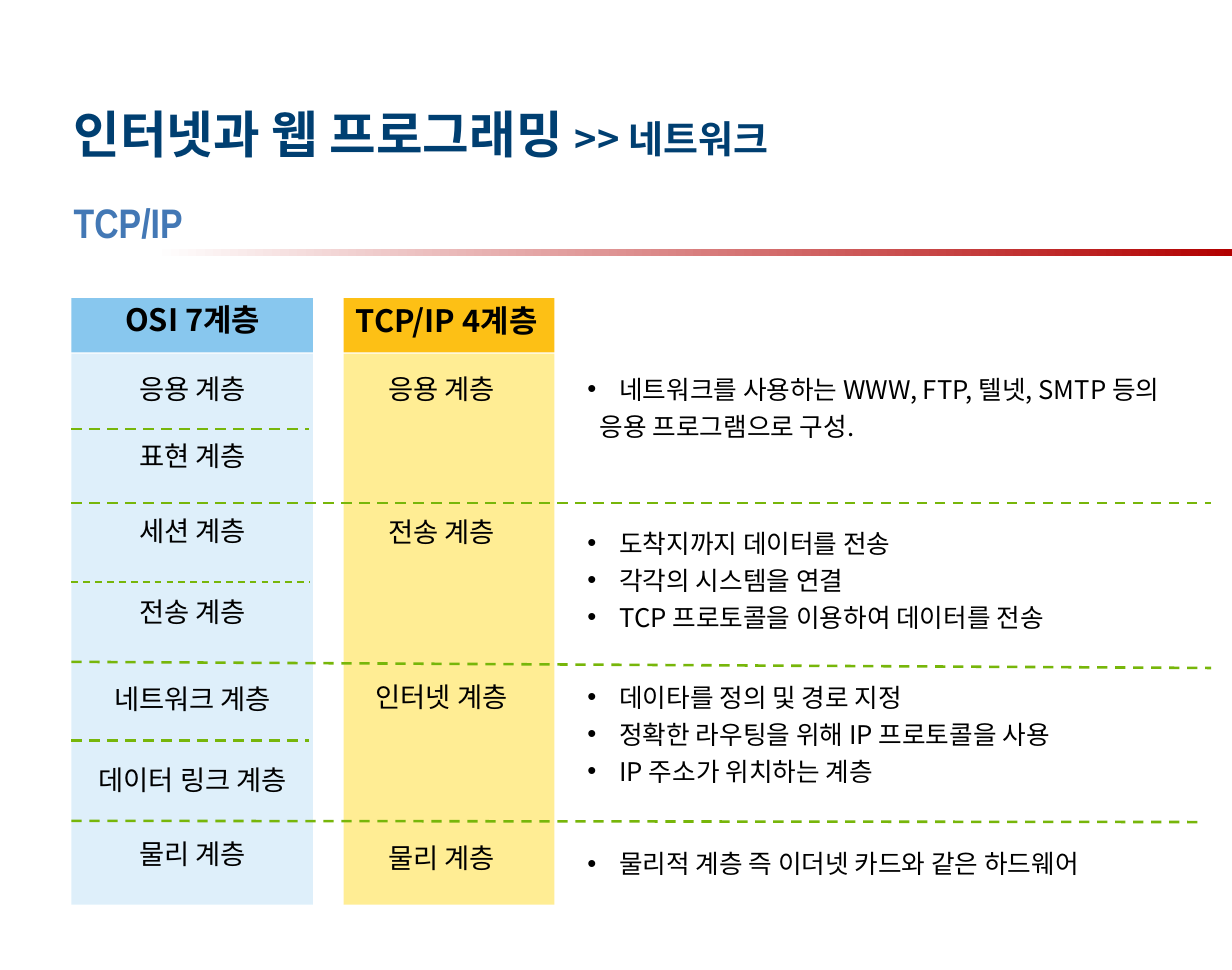
from typing import NamedTuple

from lxml.etree import SubElement
from pptx import Presentation
from pptx.dml.color import RGBColor
from pptx.enum.dml import MSO_LINE
from pptx.enum.shapes import MSO_CONNECTOR, MSO_SHAPE
from pptx.enum.text import MSO_ANCHOR, PP_ALIGN
from pptx.oxml.ns import qn
from pptx.util import Inches, Pt

FONT = "Noto Sans CJK KR"
BLACK = RGBColor(0x00, 0x00, 0x00)
WHITE = RGBColor(0xFF, 0xFF, 0xFF)
NAVY = RGBColor(0x00, 0x3F, 0x71)
BLUE = RGBColor(0x43, 0x78, 0xB5)
RED = RGBColor(0xB2, 0x00, 0x00)
GREEN = RGBColor(0x77, 0xB6, 0x0A)
OSI_HEAD = RGBColor(0x88, 0xC7, 0xEE)
OSI_BODY = RGBColor(0xBE, 0xE1, 0xF6)
TCP_HEAD = RGBColor(0xFD, 0xC0, 0x15)
TCP_BODY = RGBColor(0xFF, 0xDC, 0x2B)


class Layer(NamedTuple):
    name: str
    top: float


class Column(NamedTuple):
    title: str
    left: float
    width: float
    title_box: tuple[float, float, float]
    head: RGBColor
    body: RGBColor
    layers: list[Layer]


class Divider(NamedTuple):
    y1: float
    x2: float
    y2: float
    width: float = 1.5


class Note(NamedTuple):
    top: float
    height: float
    lines: list[str]
    continuation: str = ""


COLUMNS = [
    Column("OSI 7계층", 0.58, 1.96, (0.48, 2.39, 2.17), OSI_HEAD, OSI_BODY, [
        Layer("응용 계층", 2.97), Layer("표현 계층", 3.51), Layer("세션 계층", 4.12),
        Layer("전송 계층", 4.78), Layer("네트워크 계층", 5.48),
        Layer("데이터 링크 계층", 6.14), Layer("물리 계층", 6.74)]),
    Column("TCP/IP 4계층", 2.79, 1.71, (2.5, 2.4, 2.25), TCP_HEAD, TCP_BODY, [
        Layer("응용 계층", 2.97), Layer("전송 계층", 4.13),
        Layer("인터넷 계층", 5.47), Layer("물리 계층", 6.77)]),
]

DIVIDERS = [
    Divider(3.48, 2.51, 3.48), Divider(4.08, 9.83, 4.08), Divider(4.72, 2.51, 4.72, 1),
    Divider(5.37, 9.83, 5.42), Divider(6.01, 2.51, 6.01), Divider(6.66, 9.75, 6.67),
]

NOTES = [
    Note(2.93, 0.7, ["네트워크를 사용하는 WWW, FTP, 텔넷, SMTP 등의"], "응용 프로그램으로 구성."),
    Note(4.18, 1, ["도착지까지 데이터를 전송", "각각의 시스템을 연결",
                   "TCP 프로토콜을 이용하여 데이터를 전송"]),
    Note(5.43, 1, ["데이타를 정의 및 경로 지정", "정확한 라우팅을 위해 IP 프로토콜을 사용",
                   "IP 주소가 위치하는 계층"]),
    Note(6.78, 0.4, ["물리적 계층 즉 이더넷 카드와 같은 하드웨어"]),
]


def add_box(s, left: float, top: float, width: float, height: float):
    tf = s.shapes.add_textbox(Inches(left), Inches(top), Inches(width), Inches(height)).text_frame
    tf.word_wrap = True
    tf.vertical_anchor = MSO_ANCHOR.MIDDLE
    return tf


def add_text(p, text: str, *, size: float, color: RGBColor = BLACK, bold: bool = False,
             font: str = FONT, align: PP_ALIGN = PP_ALIGN.LEFT) -> None:
    p.alignment = align
    r = p.add_run()
    r.text = text
    r.font.size = Pt(size)
    r.font.bold = bold
    r.font.name = font
    r.font.color.rgb = color
    SubElement(r.font._element, qn("a:ea")).set("typeface", font)


def add_rect(s, left: float, top: float, width: float, height: float,
             color: RGBColor, alpha: int = 100):
    sp = s.shapes.add_shape(MSO_SHAPE.RECTANGLE, Inches(left), Inches(top),
                            Inches(width), Inches(height))
    sp.shadow.inherit = False
    sp.line.fill.background()
    sp.fill.solid()
    sp.fill.fore_color.rgb = color
    if alpha < 100:
        clr = sp._element.spPr.find(qn("a:solidFill"))[0]
        SubElement(clr, qn("a:alpha")).set("val", str(alpha * 1000))
    return sp


def add_divider(s, d: Divider) -> None:
    line = s.shapes.add_connector(MSO_CONNECTOR.STRAIGHT, Inches(0.58), Inches(d.y1),
                                  Inches(d.x2), Inches(d.y2))
    line.line.color.rgb = GREEN
    line.line.width = Pt(d.width)
    line.line.dash_style = MSO_LINE.DASH
    SubElement(line._element.spPr, qn("a:effectLst"))


def add_column(s, c: Column) -> None:
    left, top, width = c.title_box
    tf = add_box(s, left, top, width, 0.4)
    add_text(tf.paragraphs[0], c.title, size=18, bold=True, align=PP_ALIGN.CENTER)
    for layer in c.layers:
        tf = add_box(s, left, layer.top, 2.17, 0.37)
        add_text(tf.paragraphs[0], layer.name, size=16, align=PP_ALIGN.CENTER)


def add_note(s, note: Note) -> None:
    tf = add_box(s, 4.67, note.top, 5.17, note.height)
    for i, text in enumerate(note.lines):
        p = tf.paragraphs[0] if i == 0 else tf.add_paragraph()
        pPr = p._p.get_or_add_pPr()
        pPr.set("marL", str(Inches(0.26)))
        pPr.set("indent", str(-Inches(0.26)))
        SubElement(pPr, qn("a:buFont")).set("typeface", "Arial")
        SubElement(pPr, qn("a:buChar")).set("char", "•")
        p.line_spacing = Pt(21.7)
        add_text(p, text, size=15)
    if note.continuation:
        p = tf.add_paragraph()
        p._p.get_or_add_pPr().set("marL", str(Inches(0.1)))
        p.line_spacing = Pt(21.7)
        add_text(p, note.continuation, size=15)


def main() -> None:
    prs = Presentation()
    prs.slide_width, prs.slide_height = Inches(10), Inches(7.87)
    s = prs.slides.add_slide(prs.slide_layouts[6])

    for c in COLUMNS:
        add_rect(s, c.left, 2.42, c.width, 0.44, c.head)
        add_rect(s, c.left, 2.87, c.width, 4.47, c.body, alpha=50)
    for d in DIVIDERS:
        add_divider(s, d)
    for c in COLUMNS:
        add_column(s, c)
    for note in NOTES:
        add_note(s, note)

    rule = add_rect(s, 1.25, 2.02, 8.75, 0.06, RED)
    rule.fill.gradient()
    rule.fill.gradient_angle = 0
    for stop, color in zip(rule.fill.gradient_stops, (WHITE, RED)):
        stop.color.rgb = color

    p = add_box(s, 0.5, 0.73, 8.58, 0.7).paragraphs[0]
    add_text(p, "인터넷과 웹 프로그래밍 ", size=29.6, color=NAVY, bold=True)
    add_text(p, ">> 네트워크", size=22.2, color=NAVY, bold=True)
    p = add_box(s, 0.5, 1.55, 8.58, 0.5).paragraphs[0]
    add_text(p, "TCP/IP", size=24.1, color=BLUE, bold=True, font="Arial Narrow")

    prs.save("out.pptx")


if __name__ == "__main__":
    main()
